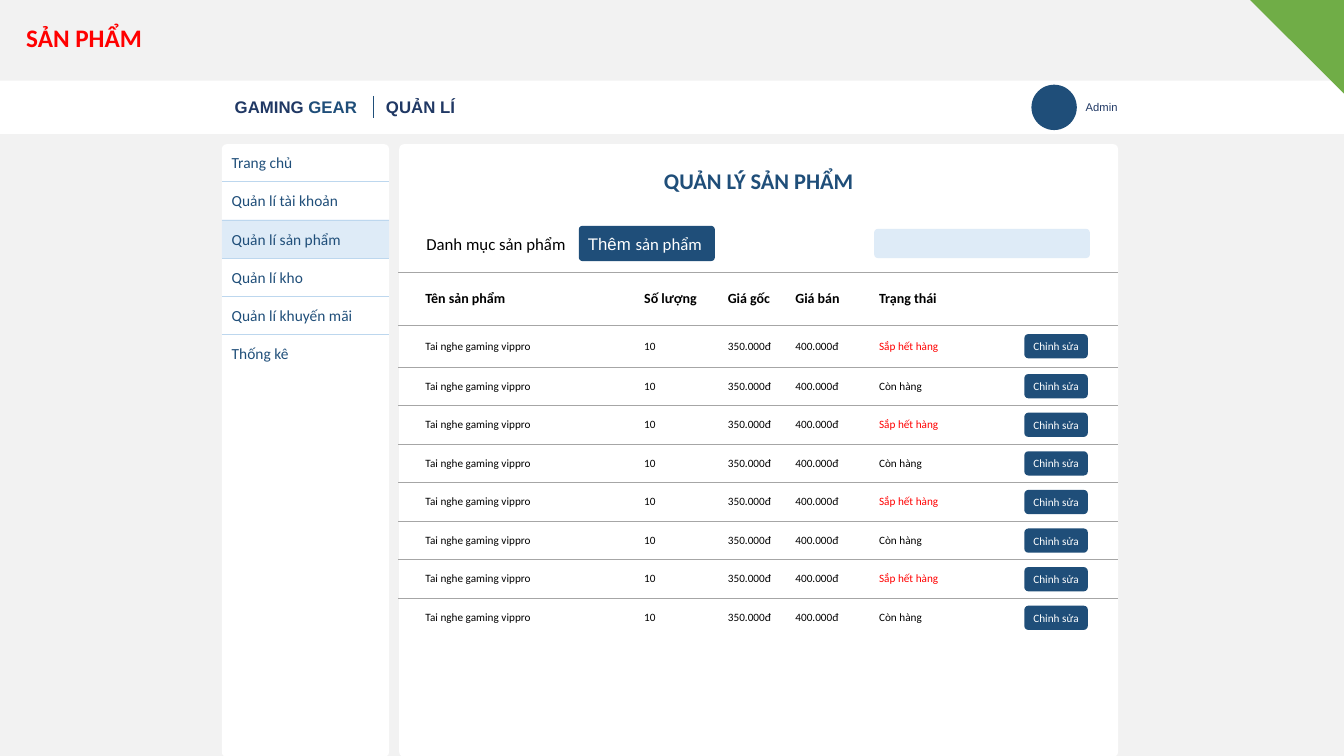
"""Build the product management screen slide."""
from lxml import etree
from pptx import Presentation, util as u
from pptx.dml.color import RGBColor
from pptx.enum import shapes, text
from pptx.oxml import ns

RED = RGBColor(0xFF, 0x00, 0x00)
BLACK = RGBColor(0x00, 0x00, 0x00)
WHITE = RGBColor(0xFF, 0xFF, 0xFF)
PAGE = RGBColor(0xF2, 0xF2, 0xF2)
NAVY = RGBColor(0x20, 0x38, 0x64)
BLUE = RGBColor(0x1F, 0x4E, 0x79)
PALE = RGBColor(0xDE, 0xEB, 0xF7)
SKY = RGBColor(0xBD, 0xD7, 0xEE)
GREY = RGBColor(0xA6, 0xA6, 0xA6)
GREEN = RGBColor(0x70, 0xAD, 0x47)

TITLE = "SẢN PHẨM"
MENU = ["Trang chủ", "Quản lí tài khoản", "Quản lí sản phẩm",
        "Quản lí kho", "Quản lí khuyến mãi", "Thống kê"]
SELECTED = 2
HEADER = ["Tên sản phẩm", "Số lượng", "Giá gốc", "Giá bán", "Trạng thái", ""]
PRODUCT = ["Tai nghe gaming vippro", "10", "350.000đ", "400.000đ"]
LOW, IN_STOCK = "Sắp hết hàng", "Còn hàng"
PRODUCTS = [PRODUCT + [status, ""] for status in [LOW, IN_STOCK] * 4]
EDIT = "Chỉnh sửa"

MENU_LEFT, MENU_TOP, MENU_W, MENU_ROW = 2.2, 1.42, 1.66, 0.38
PANEL_TOP, PANEL_H = 1.43, 6.08
TABLE_TOP = 2.7
COLUMN_EDGES = [3.95, 6.3, 7.13, 7.8, 8.63, 10.1, 11.09]
ROW_HEIGHTS = [0.53, 0.41] + [0.383] * 7
BUTTON_LEFT, BUTTON_W, BUTTON_H = 10.16, 0.63, 0.24

Shape = shapes.MSO_SHAPE
Align = text.PP_ALIGN


def add_run(p, words, size, color, font="Calibri", bold=False):
    r = p.add_run()
    r.text = words
    r.font.size, r.font.name, r.font.bold = u.Pt(size), font, bold
    r.font.color.rgb = color


def write(tf, runs, align=Align.LEFT, inset=0.0):
    tf.margin_left = u.Inches(inset)
    tf.margin_right = tf.margin_top = tf.margin_bottom = 0
    tf.word_wrap = False
    tf.vertical_anchor = text.MSO_ANCHOR.MIDDLE
    p = tf.paragraphs[0]
    p.alignment = align
    for run in runs:
        add_run(p, *run)


def add_box(s, kind, box, fill, radius=None):
    sp = s.shapes.add_shape(kind, *map(u.Inches, box))
    sp.shadow.inherit = False
    sp.fill.solid()
    sp.fill.fore_color.rgb = fill
    sp.line.fill.background()
    if radius is not None:
        sp.adjustments[0] = radius
    return sp


def add_label(s, box, *runs, align=Align.LEFT):
    tb = s.shapes.add_textbox(*map(u.Inches, box))
    write(tb.text_frame, runs, align, 0.0 if align == Align.CENTER else 0.1)


def add_rule(s, x1, y1, x2, y2, color, width):
    ln = s.shapes.add_connector(shapes.MSO_CONNECTOR.STRAIGHT,
                                *map(u.Inches, (x1, y1, x2, y2)))
    ln.line.color.rgb = color
    ln.line.width = u.Pt(width)
    etree.SubElement(ln._element.spPr, ns.qn("a:effectLst"))


def set_borders(cell, ruled):
    tc_pr = cell._tc.get_or_add_tcPr()
    for i, (side, color) in enumerate(ruled.items()):
        ln = etree.Element(ns.qn("a:" + side), w=str(u.Pt(0.5)))
        if color is None:
            etree.SubElement(ln, ns.qn("a:noFill"))
        else:
            fill = etree.SubElement(ln, ns.qn("a:solidFill"))
            etree.SubElement(fill, ns.qn("a:srgbClr"), val=str(color))
        tc_pr.insert(i, ln)


def add_header(s):
    add_box(s, Shape.RECTANGLE, (0, 0.8, 13.33, 0.53), WHITE)
    add_label(s, (2.23, 0.91, 1.43, 0.3), ("GAMING", 12, NAVY, "Arial", True),
              (" GEAR", 12, BLUE, "Arial", True))
    add_rule(s, 3.7, 0.95, 3.7, 1.17, BLUE, 0.5)
    add_label(s, (3.73, 0.91, 0.89, 0.3), ("QUẢN LÍ", 12, NAVY, "Arial", True))
    add_box(s, Shape.OVAL, (10.23, 0.84, 0.45, 0.45), BLUE)
    add_label(s, (10.67, 0.94, 0.67, 0.24), ("Admin", 8, NAVY, "Arial"))
    corner = add_box(s, Shape.RIGHT_TRIANGLE, (12.4, 0, 0.93, 0.93), GREEN)
    corner.rotation = 180


def add_menu(s):
    add_box(s, Shape.ROUNDED_RECTANGLE,
            (MENU_LEFT, PANEL_TOP, MENU_W, PANEL_H), WHITE, 0.03)
    for i, item in enumerate(MENU):
        top = MENU_TOP + i * MENU_ROW
        row = (MENU_LEFT, top, MENU_W, MENU_ROW)
        if i == SELECTED:
            add_box(s, Shape.RECTANGLE, row, PALE)
        add_label(s, row, (item, 11, BLUE))
    for i in range(1, len(MENU)):
        y = MENU_TOP + i * MENU_ROW
        add_rule(s, MENU_LEFT, y, MENU_LEFT + MENU_W, y, SKY, 0.25)


def add_toolbar(s):
    add_box(s, Shape.ROUNDED_RECTANGLE, (3.96, PANEL_TOP, 7.13, PANEL_H), WHITE, 0.008)
    add_label(s, (6.49, 1.61, 2.07, 0.37),
              ("QUẢN LÝ SẢN PHẨM", 16, BLUE, "Calibri", True), align=Align.CENTER)
    add_label(s, (4.13, 2.27, 1.6, 0.3), ("Danh mục sản phẩm", 12, BLACK))
    add_new = add_box(s, Shape.ROUNDED_RECTANGLE, (5.74, 2.24, 1.35, 0.35), BLUE, 0.105)
    write(add_new.text_frame, [("Thêm ", 12, WHITE, "Arial"),
                               ("sản phẩm", 12, WHITE)], inset=0.08)
    add_box(s, Shape.ROUNDED_RECTANGLE, (8.67, 2.27, 2.14, 0.29), PALE, 0.129)


def add_products(s):
    rows = [HEADER] + PRODUCTS
    frame = s.shapes.add_table(
        len(rows), len(HEADER), u.Inches(COLUMN_EDGES[0]), u.Inches(TABLE_TOP),
        u.Inches(COLUMN_EDGES[-1] - COLUMN_EDGES[0]), u.Inches(sum(ROW_HEIGHTS)))
    table = frame.table
    table.first_row = table.horz_banding = False
    for c, (left, right) in enumerate(zip(COLUMN_EDGES, COLUMN_EDGES[1:])):
        table.columns[c].width = u.Inches(right - left)
    for i, row in enumerate(rows):
        table.rows[i].height = u.Inches(ROW_HEIGHTS[i])
        bottom = GREY if i < len(rows) - 1 else None
        for c, words in enumerate(row):
            cell = table.cell(i, c)
            cell.fill.background()
            set_borders(cell, {"lnL": None, "lnR": None, "lnT": GREY, "lnB": bottom})
            cell.margin_left = u.Inches(0.27 if c == 0 else 0.09)
            cell.margin_right = cell.margin_top = cell.margin_bottom = 0
            cell.vertical_anchor = text.MSO_ANCHOR.MIDDLE
            p = cell.text_frame.paragraphs[0]
            p.font.size = u.Pt(8)
            if words:
                add_run(p, words, 10 if i == 0 else 8,
                        RED if words == LOW else BLACK, bold=i == 0)
    for i in range(1, len(rows)):
        middle = TABLE_TOP + sum(ROW_HEIGHTS[:i]) + ROW_HEIGHTS[i] / 2
        button = add_box(s, Shape.ROUNDED_RECTANGLE,
                         (BUTTON_LEFT, middle - BUTTON_H / 2, BUTTON_W, BUTTON_H), BLUE)
        write(button.text_frame, [(EDIT, 8, WHITE)], Align.CENTER)


def main():
    prs = Presentation()
    prs.slide_width, prs.slide_height = u.Inches(13.33), u.Inches(7.5)
    s = prs.slides.add_slide(prs.slide_layouts[5])
    s.background.fill.solid()
    s.background.fill.fore_color.rgb = PAGE
    title = s.shapes.title
    title.left, title.top = u.Inches(0.16), u.Inches(0.17)
    title.width, title.height = u.Inches(1.36), u.Inches(0.4)
    write(title.text_frame, [(TITLE, 18, RED, "Calibri", True)], inset=0.1)
    add_header(s)
    add_menu(s)
    add_toolbar(s)
    add_products(s)
    prs.save("out.pptx")


if __name__ == "__main__":
    main()
